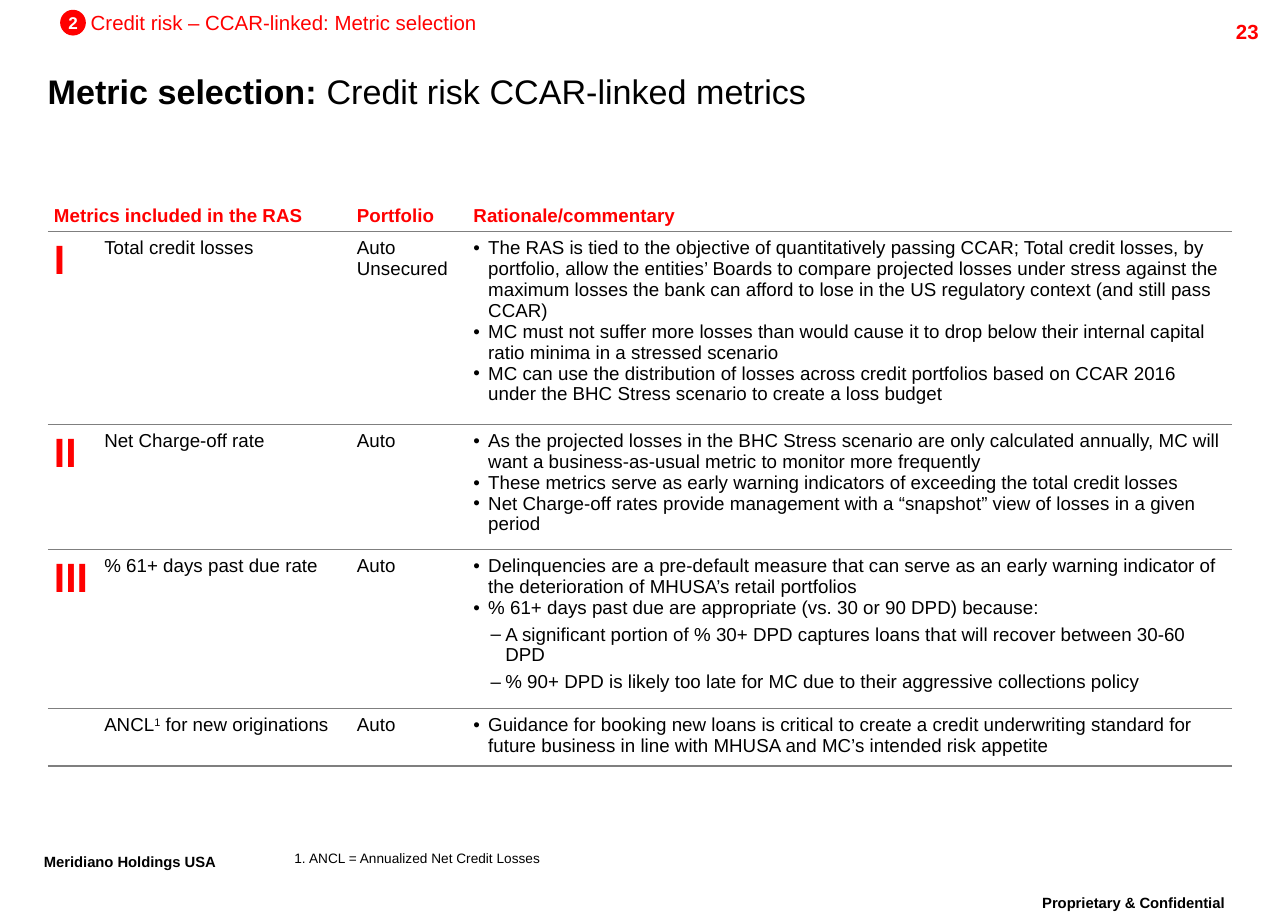
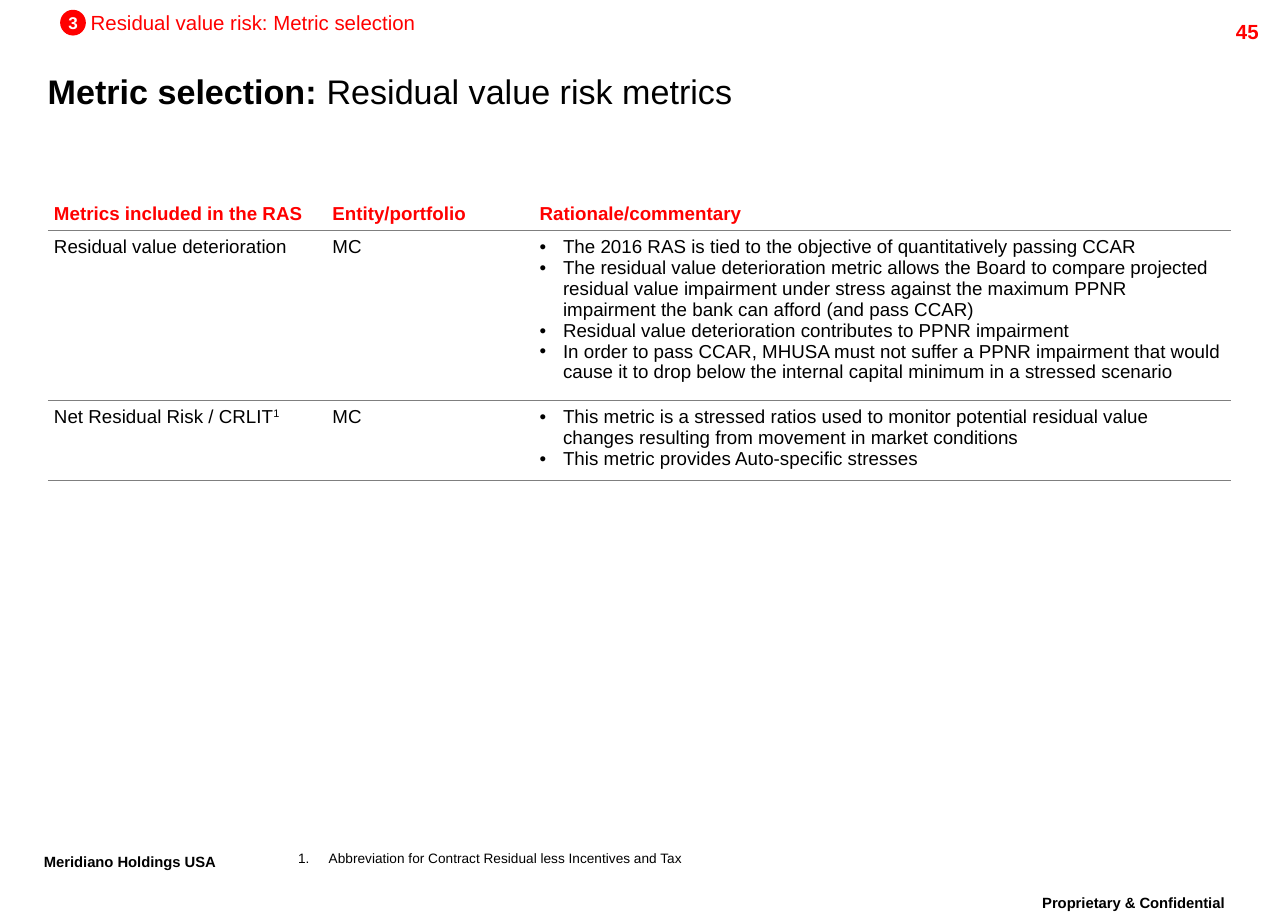
"""Build two metric selection slides, each with a ruled table of risk metrics."""
from lxml.etree import SubElement
from pptx import Presentation
from pptx.dml.color import RGBColor
from pptx.enum.shapes import MSO_SHAPE as Shape
from pptx.enum.text import MSO_ANCHOR as Anchor, PP_ALIGN as Align
from pptx.oxml import parse_xml
from pptx.oxml.ns import nsdecls, qn
from pptx.util import Inches, Pt

RED, BLACK, WHITE, GREY = "FF0000", "000000", "FFFFFF", "7F7F7F"
NO_STYLE = "{2D5ABB26-0587-4C30-8999-92F81FD0307C}"
TIGHT = 0.86
BODY_SIZE = 11
hex_color = RGBColor.from_string


def write(paragraph, text, size, color=BLACK, bold=False, mark=None, margin=0, hanging=0):
    """Add text, raising any part between carets, behind an optional bullet."""
    if mark:
        properties = paragraph._p.get_or_add_pPr()
        properties.set("marL", str(Inches(margin)))
        properties.set("indent", str(-Inches(hanging)))
        if mark == "1.":
            SubElement(properties, qn("a:buAutoNum"), type="arabicPeriod")
        else:
            SubElement(properties, qn("a:buFont"), typeface="Arial")
            SubElement(properties, qn("a:buChar"), char=mark)
    for index, part in enumerate(text.split("^")):
        run = paragraph.add_run()
        run.text = part
        values = {"name": "Arial", "size": Pt(size), "bold": bold}
        for name, value in values.items():
            setattr(run.font, name, value)
        run.font.color.rgb = hex_color(color)
        if index % 2:
            run.font._element.set("baseline", "30000")


def text_box(slide, box, inset=(0.1, 0.05), align=Align.LEFT, spacing=1.0, anchor=Anchor.TOP):
    """Add an empty text box and return its first paragraph."""
    frame = slide.shapes.add_textbox(*map(Inches, box)).text_frame
    side, end = map(Inches, inset)
    values = {"word_wrap": True, "vertical_anchor": anchor, "margin_left": side,
              "margin_right": side, "margin_top": end, "margin_bottom": end}
    for name, value in values.items():
        setattr(frame, name, value)
    paragraph = frame.paragraphs[0]
    paragraph.alignment = align
    paragraph.line_spacing = spacing
    return paragraph


PAGES = [
    {
        "number": "23", "section": "2",
        "tracker": "Credit risk – CCAR-linked: Metric selection",
        "title": "Credit risk CCAR-linked metrics",
        "footnote": "ANCL = Annualized Net Credit Losses",
        "footnote_box": (2.4, 6.93, 7.45, 0.13), "footnote_indent": 0.12,
        "top": 1.61, "bullet_indent": 0.12,
        "columns": [0.41, 2.06, 0.95, 6.23],
        "heights": [0.28, 1.57, 1.02, 1.29, 0.46],
        "header": ["Metrics included in the RAS", "", "Portfolio", "Rationale/commentary"],
        "rows": [
            ["I", "Total credit losses", ["Auto", "Unsecured"], [
                "The RAS is tied to the objective of quantitatively passing CCAR; Total credit "
                "losses, by portfolio, allow the entities’ Boards to compare projected losses "
                "under stress against the maximum losses the bank can afford to lose in the US "
                "regulatory context (and still pass CCAR)",
                "MC must not suffer more losses than would cause it to drop below their internal "
                "capital ratio minima in a stressed scenario",
                "MC can use the distribution of losses across credit portfolios based on CCAR "
                "2016 under the BHC Stress scenario to create a loss budget"]],
            ["II", "Net Charge-off rate", ["Auto"], [
                "As the projected losses in the BHC Stress scenario are only calculated annually, "
                "MC will want a business-as-usual metric to monitor more frequently",
                "These metrics serve as early warning indicators of exceeding the total credit "
                "losses",
                "Net Charge-off rates provide management with a “snapshot” view of losses in a "
                "given period"]],
            ["III", "% 61+ days past due rate", ["Auto"], [
                "Delinquencies are a pre-default measure that can serve as an early warning "
                "indicator of the deterioration of MHUSA’s retail portfolios",
                "% 61+ days past due are appropriate (vs. 30 or 90 DPD) because:",
                ("–", "A significant portion of % 30+ DPD captures loans that will recover "
                      "between 30-60 DPD"),
                ("–", "% 90+ DPD is likely too late for MC due to their aggressive collections "
                      "policy")]],
            ["", "ANCL^1^ for new originations", ["Auto"], [
                "Guidance for booking new loans is critical to create a credit underwriting "
                "standard for future business in line with MHUSA and MC’s intended risk "
                "appetite"]],
        ],
    },
    {
        "number": "45", "section": "3",
        "tracker": "Residual value risk: Metric selection",
        "title": "Residual value risk metrics",
        "footnote": "Abbreviation for Contract Residual less Incentives and Tax",
        "footnote_box": (2.43, 6.93, 6.15, 0.13), "footnote_indent": 0.25,
        "top": 1.6, "bullet_indent": 0.19,
        "columns": [2.27, 1.69, 5.69],
        "heights": [0.28, 1.38, 0.65],
        "header": ["Metrics included in the RAS", "Entity/portfolio", "Rationale/commentary"],
        "rows": [
            ["Residual value deterioration", ["MC"], [
                "The 2016 RAS is tied to the objective of quantitatively passing CCAR",
                "The residual value deterioration metric allows the Board to compare projected "
                "residual value impairment under stress against the maximum PPNR impairment the "
                "bank can afford (and pass CCAR)",
                "Residual value deterioration contributes to PPNR impairment",
                "In order to pass CCAR, MHUSA must not suffer a PPNR impairment that would cause "
                "it to drop below the internal capital minimum in a stressed scenario"]],
            ["Net Residual Risk / CRLIT^1^", ["MC"], [
                "This metric is a stressed ratios used to monitor potential residual value "
                "changes resulting from movement in market conditions",
                "This metric provides Auto-specific stresses"]],
        ],
    },
]

presentation = Presentation()
presentation.slide_width, presentation.slide_height = Inches(10.5), Inches(7.5)

for page in PAGES:
    slide = presentation.slides.add_slide(presentation.slide_layouts[6])

    confidential = text_box(slide, (8.15, 7.25, 2.18, 0.35), align=Align.CENTER, spacing=TIGHT)
    write(confidential, "^Proprietary & Confidential^", 15, bold=True)
    company = text_box(slide, (0.26, 6.91, 1.91, 0.35), spacing=TIGHT)
    write(company, "^Meridiano Holdings USA^", 15, bold=True)
    page_number = text_box(slide, (9.36, 0.11, 1, 0.24), align=Align.RIGHT)
    write(page_number, page["number"], 12, RED, bold=True)

    title = text_box(slide, (0.29, 0.57, 10.21, 0.39), spacing=TIGHT)
    write(title, "Metric selection: ", 20, bold=True)
    write(title, page["title"], 20)

    tracker = text_box(slide, (0.74, 0.08, 5, 0.2), inset=(0, 0))
    write(tracker, page["tracker"], 12, RED)
    badge = slide.shapes.add_shape(Shape.OVAL, *map(Inches, (0.49, 0.08, 0.21, 0.21)))
    badge.shadow.inherit = False
    badge.fill.solid()
    badge.fill.fore_color.rgb = hex_color(RED)
    badge.line.fill.background()
    frame = badge.text_frame
    frame.word_wrap = False
    frame.vertical_anchor = Anchor.MIDDLE
    frame.margin_left = frame.margin_right = frame.margin_top = frame.margin_bottom = 0
    frame.paragraphs[0].alignment = Align.CENTER
    write(frame.paragraphs[0], page["section"], 10, WHITE, bold=True)

    footnote = text_box(slide, page["footnote_box"], inset=(0, 0), anchor=Anchor.BOTTOM)
    indent = page["footnote_indent"]
    write(footnote, page["footnote"], 8, mark="1.", margin=indent, hanging=indent)

    columns, heights = page["columns"], page["heights"]
    box = (0.39, page["top"], sum(columns), sum(heights))
    table = slide.shapes.add_table(len(heights), len(columns), *map(Inches, box)).table
    table.first_row = table.horz_banding = False
    table._tbl.tblPr.find(qn("a:tableStyleId")).text = NO_STYLE
    for column, width in zip(table.columns, columns):
        column.width = Inches(width)
    for row, height in zip(table.rows, heights):
        row.height = Inches(height)

    for row_index, values in enumerate([page["header"]] + page["rows"]):
        is_header = row_index == 0
        for column_index, value in enumerate(values):
            cell = table.cell(row_index, column_index)
            cell.margin_left = cell.margin_right = Inches(0.05)
            cell.margin_top = cell.margin_bottom = Inches(0.05)
            cell.vertical_anchor = Anchor.BOTTOM if is_header else Anchor.TOP
            cell.fill.solid()
            cell.fill.fore_color.rgb = hex_color(WHITE)
            cell._tc.get_or_add_tcPr().insert(0, parse_xml(
                f'<a:lnB {nsdecls("a")} w="{Pt(0.75)}"><a:solidFill>'
                f'<a:srgbClr val="{GREY}"/></a:solidFill></a:lnB>'))
            is_numeral = len(columns) == 4 and column_index == 0 and not is_header
            is_commentary = column_index == len(columns) - 1 and not is_header
            items = value if isinstance(value, list) else [value]
            for item_index, item in enumerate(items):
                frame = cell.text_frame
                paragraph = frame.add_paragraph() if item_index else frame.paragraphs[0]
                if is_header:
                    paragraph.line_spacing = TIGHT
                    if item:
                        write(paragraph, item, BODY_SIZE, RED, bold=True)
                elif is_numeral:
                    if item:
                        write(paragraph, item, 24, RED, bold=True)
                elif isinstance(item, tuple):
                    mark, text = item
                    write(paragraph, text, BODY_SIZE, mark=mark, margin=0.26, hanging=0.12)
                    paragraph.space_before = Pt(3.5)
                elif is_commentary:
                    indent = page["bullet_indent"]
                    write(paragraph, item, BODY_SIZE, mark="•", margin=indent, hanging=indent)
                else:
                    write(paragraph, item, BODY_SIZE)
    if page["header"][1] == "":
        table.cell(0, 0).merge(table.cell(0, 1))

presentation.save("out.pptx")
